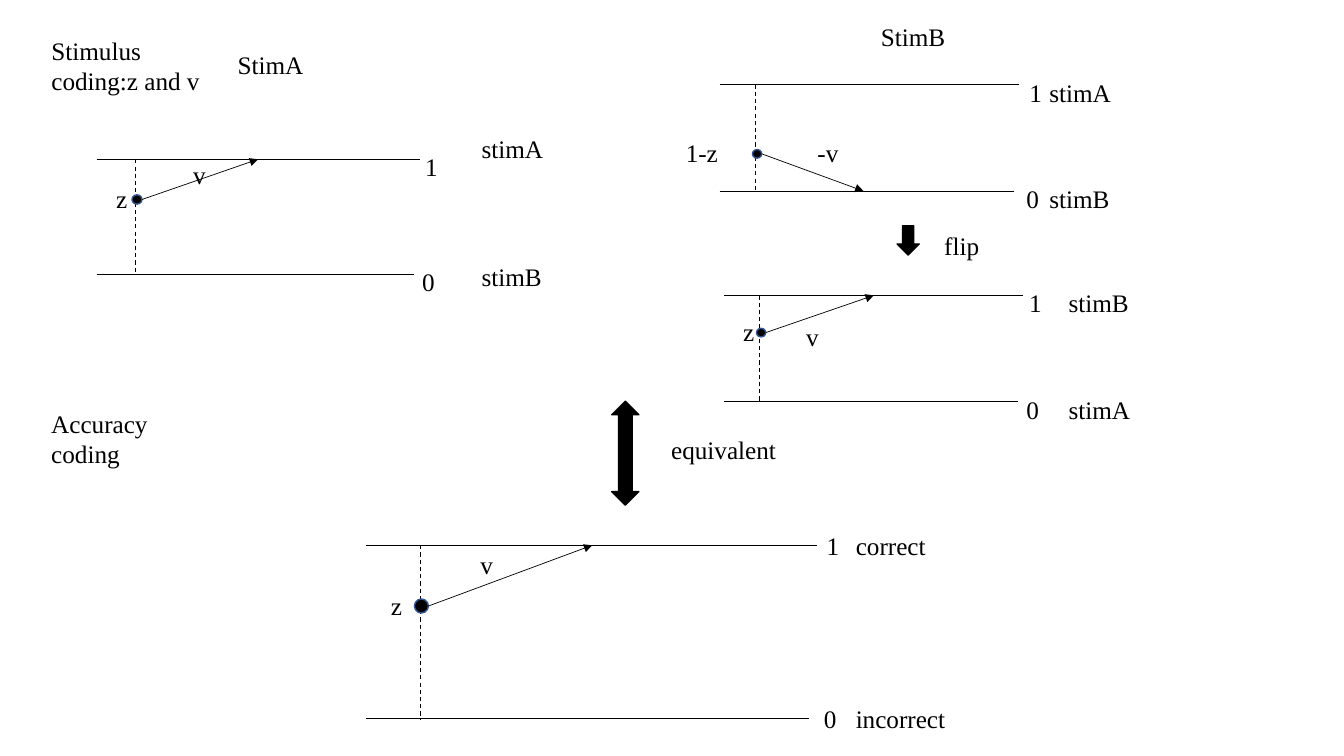
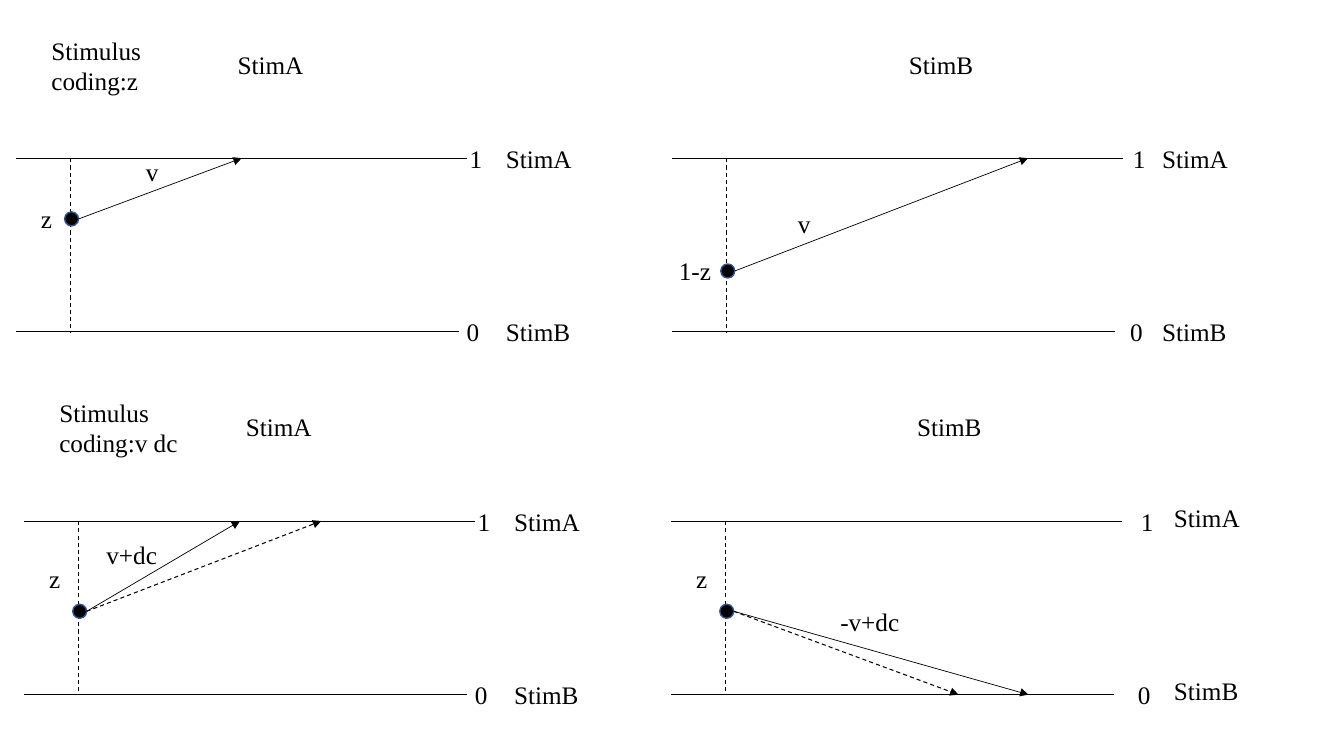
"""Build two slides that compare stimulus and accuracy coding of a drift process."""
import dataclasses
import pptx
import pptx.util
import pptx.dml.color
import pptx.enum.dml
import pptx.enum.shapes
import pptx.enum.text
import pptx.oxml.ns
import lxml.etree

Pt = pptx.util.Pt
Preset = pptx.enum.shapes.MSO_SHAPE
INK = pptx.dml.color.RGBColor(0, 0, 0)
DOT_RIM = pptx.dml.color.RGBColor(0x32, 0x54, 0x91)

FONT = {"name": "Times New Roman", "size": Pt(18), "bold": False}
INSET_X, INSET_Y = Pt(7.2), Pt(3.6)
FRAME = {"word_wrap": True,
         "auto_size": pptx.enum.text.MSO_AUTO_SIZE.SHAPE_TO_FIT_TEXT,
         "vertical_anchor": pptx.enum.text.MSO_ANCHOR.TOP,
         "margin_left": INSET_X, "margin_right": INSET_X,
         "margin_top": INSET_Y, "margin_bottom": INSET_Y}
PARAGRAPH = {"alignment": pptx.enum.text.PP_ALIGN.LEFT, "line_spacing": 1.0,
             "space_before": Pt(0)}

ONE_LINE, TWO_LINES, SHORT = 28.8, 51.1, 18
WIDE, MEDIUM, NARROW = 112.3, 74.2, 26
TITLE_WIDTH = 133.2
LARGE, SMALL = 322, 214
MARGIN, TITLE_TOP, HEADING_TOP = 29.5, 21.6, 31.7
HEADING_A, HEADING_B = 162.7, 642.2
ROW_SHIFT = (5.8, 258.5)


@dataclasses.dataclass
class Panel:
    """Two boundaries, a starting point and its drift towards one of them."""
    left: float
    top: float
    reach: float
    drift_offset: tuple
    length: float = LARGE
    bias: float = 0.35
    start: str = "z"
    start_width: float = 29
    start_lift: float = 15
    drift: str = "v"
    names: tuple = ("StimA", "StimB")
    name_gap: float = 20.8
    name_lifts: tuple = (14.4, 14.4)
    name_width: float = WIDE
    number_gap: float = 0
    rises: bool = True
    dashed_reach: float = 0


COMPACT = {"length": SMALL, "name_width": MEDIUM, "name_lifts": (9, 9)}
NEUTRAL = {"bias": 0.52, "start_lift": 38}

SLIDES = [
    {
        "title": "Stimulus coding:z and v",
        "panels": [
            Panel(69.1, 113.8, 86.5, (33, -32), length=231, start_width=22,
                  names=("stimA", "stimB"), name_gap=36.8, name_lifts=(22.4, 13),
                  number_gap=-3.6),
            Panel(514.1, 60.5, 76, (36, -15), bias=0.65, start="1-z", start_width=58,
                  drift="-v", names=("stimA", "stimB"), name_gap=14.4, rises=False,
                  **COMPACT),
            Panel(517, 211, 80.5, (25, -11.5), start_width=20,
                  names=("stimB", "stimA"), name_gap=25.2, number_gap=-3, **COMPACT),
            Panel(261.4, 389.5, 122, (35, -44), names=("correct", "incorrect")),
        ],
        "block_arrows": [
            (Preset.DOWN_ARROW, 640.8, 161.3, 15.8, 20.9),
            (Preset.UP_DOWN_ARROW, 437, 286.6, 19.4, MEDIUM),
        ],
        "labels": [
            ("StimA", HEADING_A, HEADING_TOP, WIDE),
            ("StimB", 622.1, 11.5, MEDIUM, SHORT),
            ("flip", 667.4, 161.3, 53.3, SHORT),
            ("Accuracy coding", MARGIN, 288, WIDE, TWO_LINES),
            ("equivalent", 472.3, 306.7, 104.4),
        ],
    },
    {
        "title": "Stimulus coding:z",
        "panels": [
            Panel(11.5, 113, 121.5, (46, -48), number_gap=-5.2),
            Panel(480.2, 113, 214.5, (43, -48), bias=0.65, start="1-z",
                  start_width=42),
            Panel(17.3, 372.2, 114.5, (12, -55), drift="v+dc", number_gap=-5.2,
                  dashed_reach=172.5, **NEUTRAL),
            Panel(479.5, 372.2, 215.5, (74, -7), drift="-v+dc", name_gap=30,
                  name_lifts=(17, 17), number_gap=6.3, rises=False,
                  dashed_reach=165.5, **NEUTRAL),
        ],
        "block_arrows": [],
        "labels": [
            ("Stimulus coding:v dc", MARGIN + ROW_SHIFT[0], TITLE_TOP + ROW_SHIFT[1],
             TITLE_WIDTH, TWO_LINES),
        ] + [
            (heading, left + dx, HEADING_TOP + dy, WIDE)
            for dx, dy in ((0, 0), ROW_SHIFT)
            for heading, left in (("StimA", HEADING_A), ("StimB", HEADING_B))
        ],
    },
]


def apply(target, values):
    for attribute, value in values.items():
        setattr(target, attribute, value)


def write(holder, text):
    frame = holder.text_frame
    apply(frame, FRAME)
    paragraph = frame.paragraphs[0]
    apply(paragraph, PARAGRAPH)
    run = paragraph.add_run()
    run.text = text
    apply(run.font, FONT)
    run.font.color.rgb = INK


def add_label(slide, text, left, top, width, height=ONE_LINE):
    write(slide.shapes.add_textbox(Pt(left), Pt(top), Pt(width), Pt(height)), text)


def add_title(slide, text):
    title = slide.shapes.title
    apply(title, {"left": Pt(MARGIN), "top": Pt(TITLE_TOP),
                  "width": Pt(TITLE_WIDTH), "height": Pt(TWO_LINES)})
    write(title, text)


def add_line(slide, x1, y1, x2, y2, dashed=False, arrow=False):
    connector = slide.shapes.add_connector(
        pptx.enum.shapes.MSO_CONNECTOR.STRAIGHT, Pt(x1), Pt(y1), Pt(x2), Pt(y2))
    connector.line.color.rgb = INK
    connector.line.width = Pt(0.75 if dashed else 0.5)
    if dashed:
        connector.line.dash_style = pptx.enum.dml.MSO_LINE.DASH
    qn = pptx.oxml.ns.qn
    if arrow:
        lxml.etree.SubElement(connector.line._get_or_add_ln(), qn("a:tailEnd"),
                              type="triangle")
    lxml.etree.SubElement(connector._element.spPr, qn("a:effectLst"))


def add_solid(slide, preset, left, top, width, height, rim=INK):
    solid = slide.shapes.add_shape(preset, Pt(left), Pt(top), Pt(width), Pt(height))
    solid.shadow.inherit = False
    solid.fill.solid()
    solid.fill.fore_color.rgb = INK
    solid.line.color.rgb = rim
    solid.line.width = Pt(1)


def add_panel(slide, panel):
    large = panel.length == LARGE
    height = panel.length * (0.385 if large else 0.355)
    right, bottom = panel.left + panel.length, panel.top + height
    start_x = panel.left + 0.12 * panel.length
    dot_x, dot_y = start_x + 1, panel.top + panel.bias * height
    dot_width, dot_height = 0.031 * panel.length, 0.081 * height

    add_line(slide, panel.left, panel.top, right, panel.top)
    add_line(slide, panel.left, bottom, right - 0.018 * panel.length, bottom)
    add_line(slide, start_x, panel.top, start_x, bottom, dashed=True)
    add_solid(slide, Preset.OVAL, dot_x - dot_width / 2, dot_y - dot_height / 2,
              dot_width, dot_height, DOT_RIM)
    goal = panel.top if panel.rises else bottom
    for reach, dashed in ((panel.dashed_reach, True), (panel.reach, False)):
        if reach:
            add_line(slide, dot_x + dot_width / 2, dot_y, dot_x + reach, goal,
                     dashed=dashed, arrow=True)

    add_label(slide, panel.start, dot_x - panel.start_width,
              dot_y - panel.start_lift, panel.start_width)
    dx, dy = panel.drift_offset
    add_label(slide, panel.drift, dot_x + dx, dot_y + dy,
              MEDIUM if len(panel.drift) > 2 else 39)
    number_box = (39, ONE_LINE) if large else (NARROW, SHORT)
    number_lift = 14.4 if large else 9
    number_x = right + panel.number_gap
    sides = (("1", number_x, panel.top), ("0", number_x - 2, bottom))
    for (number, x, y), name, lift in zip(sides, panel.names, panel.name_lifts):
        add_label(slide, number, x, y - number_lift, *number_box)
        add_label(slide, name, right + panel.name_gap, y - lift, panel.name_width)


deck = pptx.Presentation()
apply(deck, {"slide_width": Pt(960), "slide_height": Pt(540)})
for content in SLIDES:
    slide = deck.slides.add_slide(deck.slide_layouts[5])
    add_title(slide, content["title"])
    for panel in content["panels"]:
        add_panel(slide, panel)
    for block_arrow in content["block_arrows"]:
        add_solid(slide, *block_arrow)
    for label in content["labels"]:
        add_label(slide, *label)
deck.save("out.pptx")
